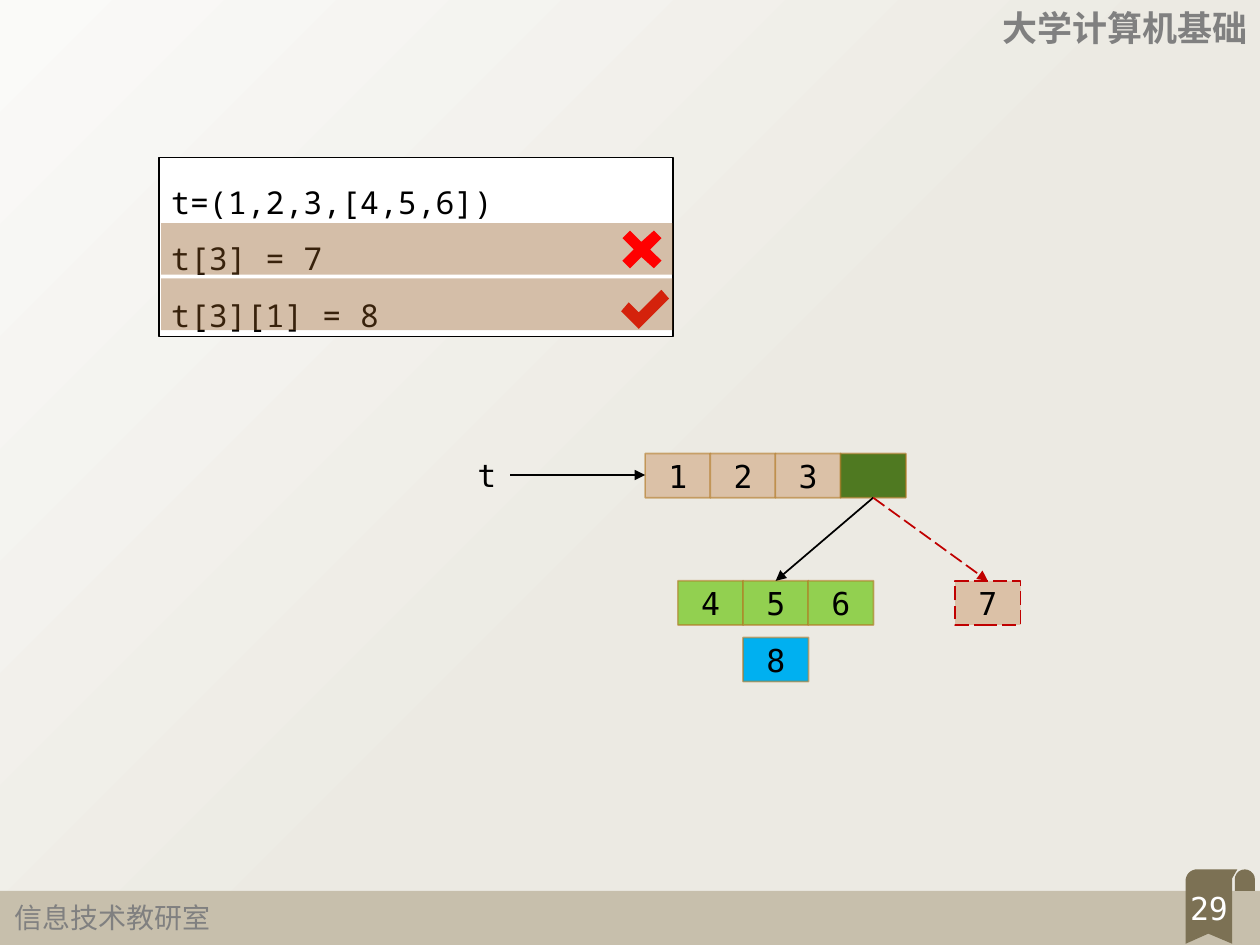
from math import cos, radians, sin

from lxml.etree import SubElement
from pptx import Presentation
from pptx.dml.color import RGBColor
from pptx.enum.dml import MSO_LINE as DASH
from pptx.enum.shapes import MSO_CONNECTOR as CONNECTOR, MSO_SHAPE as SHAPE
from pptx.enum.text import MSO_ANCHOR as ANCHOR, MSO_AUTO_SIZE as AUTO, PP_ALIGN as ALIGN
from pptx.oxml.ns import qn
from pptx.util import Inches, Pt

COLORS = {
    "light": "FAFAF8", "ground": "ECEAE3", "footer": "C7BFAC", "ribbon": "7C7154",
    "gray": "808080", "white": "FFFFFF", "black": "000000", "band": "91581F",
    "red": "FF0000", "dark_red": "C00000", "tan": "DBC1A7", "border": "B27822",
    "dark_green": "4F7921", "green": "92D050", "blue": "00B0F0",
}
MONO, CODE, CJK = "DejaVu Sans Mono", "Noto Sans Mono", "Noto Sans CJK JP"
CELL_W, CELL_H = 0.52, 0.35
PITCH = 1.55 / 3
TUPLE_Y, LIST_Y = 3.6, 4.61
CROSS = [(5.25, 2.07), (5.16, 1.98), (5.25, 1.89), (5.19, 1.83), (5.09, 1.92), (5, 1.83),
         (4.94, 1.89), (5.03, 1.98), (4.94, 2.07), (5, 2.13), (5.09, 2.04), (5.19, 2.13)]
CHECK = [(5.25, 2.3), (5.07, 2.48), (4.99, 2.4), (4.93, 2.47), (5.07, 2.61), (5.31, 2.37)]


def rgb(name):
    return RGBColor.from_string(COLORS[name])


def set_alpha(fill_parent, percent):
    color = fill_parent.find(qn("a:solidFill"))[0]
    SubElement(color, qn("a:alpha")).set("val", str(percent * 1000))


def write(shape, text, size=18, font=MONO, color="black", bold=False, align=ALIGN.LEFT,
          anchor=ANCHOR.TOP, spacing=None, wrap=True, grow=False):
    frame = shape.text_frame
    frame.word_wrap = wrap
    frame.vertical_anchor = anchor
    if grow:
        frame.auto_size = AUTO.SHAPE_TO_FIT_TEXT
    frame.text = text
    for paragraph in frame.paragraphs:
        paragraph.alignment = align
        if spacing:
            paragraph.line_spacing = spacing
        for run in paragraph.runs:
            run.font.size, run.font.name, run.font.bold = Pt(size), font, bold
            run.font.color.rgb = rgb(color)
            SubElement(run.font._element, qn("a:ea")).set("typeface", font)


def label(slide, box, text, **style):
    write(slide.shapes.add_textbox(*map(Inches, box)), text, **style)


def paint(shape, fill):
    shape.shadow.inherit = False
    shape.fill.solid()
    shape.fill.fore_color.rgb = rgb(fill)
    shape.line.fill.background()
    return shape


def stroke(line, color, dash=None):
    line.color.rgb = rgb(color)
    line.width = Pt(1)
    if dash:
        line.dash_style = dash


def rect(slide, box, fill, alpha=None):
    shape = paint(slide.shapes.add_shape(SHAPE.RECTANGLE, *map(Inches, box)), fill)
    if alpha:
        set_alpha(shape._element.spPr, alpha)
    return shape


def outline(slide, contours, fill):
    scaled = [[(Inches(x), Inches(y)) for x, y in contour] for contour in contours]
    builder = slide.shapes.build_freeform(*scaled[0][0])
    for index, contour in enumerate(scaled):
        if index:
            builder.move_to(*contour[0])
        builder.add_line_segments(contour[1:], close=True)
    return paint(builder.convert_to_shape(), fill)


def arc(x, y, radius, start, end):
    steps = 10
    angles = [radians(start + (end - start) * i / steps) for i in range(steps + 1)]
    return [(x + radius * cos(a), y + radius * sin(a)) for a in angles]


def arrow(slide, start, end, color="black", dash=None):
    points = map(Inches, (*start, *end))
    connector = slide.shapes.add_connector(CONNECTOR.STRAIGHT, *points)
    stroke(connector.line, color, dash)
    SubElement(connector.line._get_or_add_ln(), qn("a:tailEnd")).set("type", "triangle")
    SubElement(connector._element.spPr, qn("a:effectLst"))


def cell(slide, x, y, value, fill, border="border", dash=None):
    shape = rect(slide, (x, y, CELL_W, CELL_H), fill)
    stroke(shape.line, border, dash)
    if not dash:
        set_alpha(shape.line._get_or_add_ln(), 59)
    if value:
        write(shape, value, align=ALIGN.CENTER, anchor=ANCHOR.MIDDLE)


def row(slide, x, y, values, fill):
    for index, value in enumerate(values):
        cell(slide, x + index * PITCH, y, value, fill)


def page_frame(slide):
    fill = slide.background.fill
    fill.gradient()
    fill.gradient_angle = 315
    for stop, color, position in zip(fill.gradient_stops, ("light", "ground"), (0, 0.56)):
        stop.color.rgb = rgb(color)
        stop.position = position
    rect(slide, (0, 7.07, 10, 0.43), "footer")
    roll = [(9.8, 7.07), *arc(9.88, 6.98, 0.08, 180, 360), (9.96, 7.07)]
    ribbon = [(9.41, 7.49), *arc(9.5, 6.99, 0.09, 180, 270), (9.82, 6.9),
              (9.78, 6.97), (9.78, 7.49), (9.59, 7.41)]
    outline(slide, [roll, ribbon], "ribbon")
    label(slide, (0.02, 7.1, 1.77, 0.37), "信息技术教研室", size=16, font=CJK,
          color="gray", wrap=False, grow=True)
    label(slide, (7.83, 0, 2.17, 0.44), "大学计算机基础", size=20, font=CJK,
          color="gray", bold=True, align=ALIGN.RIGHT, grow=True)
    label(slide, (9.24, 7.01, 0.71, 0.4), "29", color="white", align=ALIGN.CENTER)


def code_panel(slide):
    panel = rect(slide, (1.26, 1.25, 4.08, 1.42), "white")
    stroke(panel.line, "black")
    write(panel, "t=(1,2,3,[4,5,6])\nt[3] = 7\nt[3][1] = 8", font=CODE, spacing=1.5, grow=True)
    outline(slide, [CHECK], "red")
    for y in (2.21, 1.77):
        rect(slide, (1.28, y, 4.06, 0.41), "band", alpha=39)
    outline(slide, [CROSS], "red")


def memory_diagram(slide):
    tuple_x, list_x, seven_x = 5.12, 5.38, 7.58
    reference = (tuple_x + 3 * PITCH + CELL_W / 2, TUPLE_Y + CELL_H)
    label(slide, (3.69, 3.57, 0.35, 0.4), "t", wrap=False, grow=True)
    row(slide, tuple_x, TUPLE_Y, "123", "tan")
    arrow(slide, (4.05, 3.77), (tuple_x, 3.77))
    cell(slide, tuple_x + 3 * PITCH, TUPLE_Y, "", "dark_green")
    row(slide, list_x, LIST_Y, "456", "green")
    arrow(slide, reference, (list_x + PITCH + CELL_W / 2, LIST_Y))
    cell(slide, seven_x, LIST_Y, "7", "tan", "dark_red", DASH.LONG_DASH)
    arrow(slide, reference, (seven_x + CELL_W / 2, LIST_Y), "dark_red", DASH.LONG_DASH)
    cell(slide, list_x + PITCH, 5.06, "8", "blue")


def main():
    deck = Presentation()
    deck.slide_width, deck.slide_height = Inches(10), Inches(7.5)
    slide = deck.slides.add_slide(deck.slide_layouts[6])
    page_frame(slide)
    code_panel(slide)
    memory_diagram(slide)
    deck.save("out.pptx")


main()
